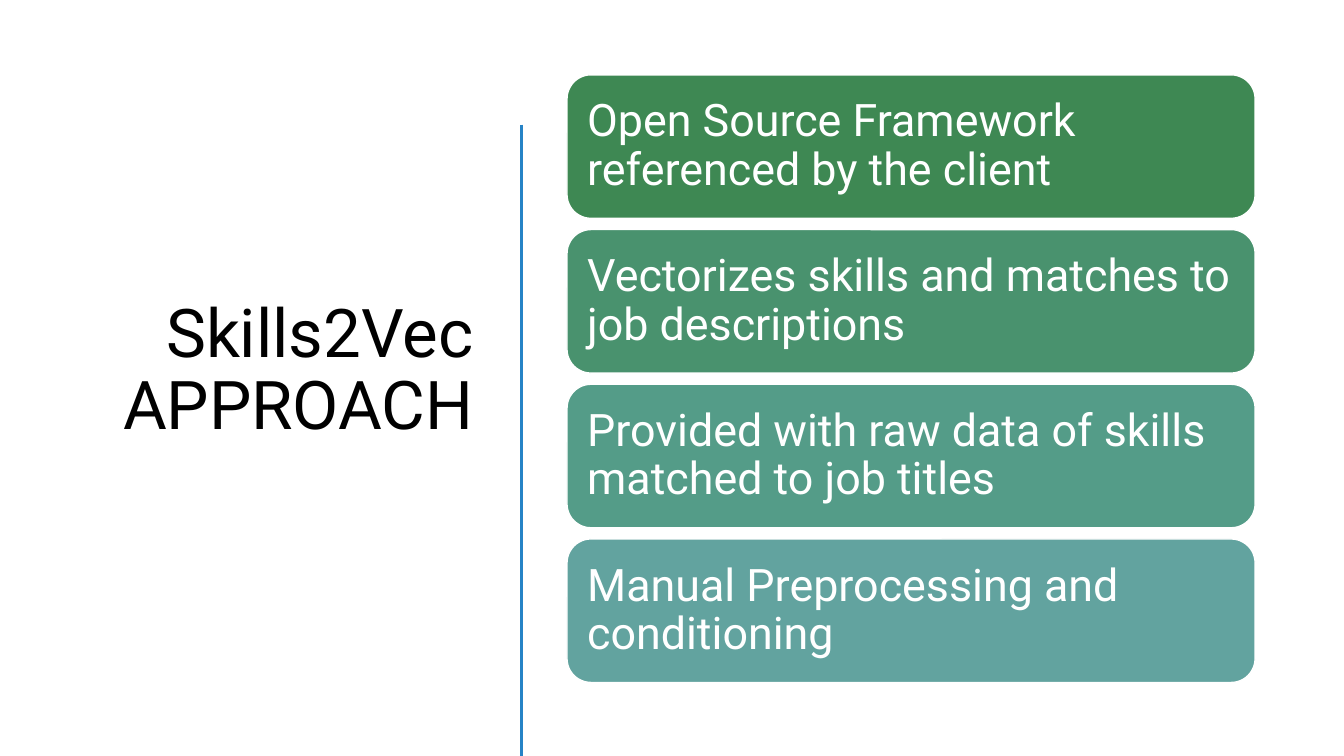
from pptx import Presentation
from pptx import util as u
from pptx.dml.color import RGBColor
from pptx.enum import shapes, text
from pptx.oxml.ns import qn
from lxml import etree

Pt = u.Pt
FONT = "Roboto"
BLACK = RGBColor(0x00, 0x00, 0x00)
WHITE = RGBColor(0xFF, 0xFF, 0xFF)
BLUE = RGBColor(0x26, 0x83, 0xC6)
POINTS = [
    ("Open Source Framework referenced by the client", RGBColor(0x3E, 0x88, 0x53)),
    ("Vectorizes skills and matches to job descriptions", RGBColor(0x49, 0x92, 0x6E)),
    ("Provided with raw data of skills matched to job titles", RGBColor(0x54, 0x9C, 0x88)),
    ("Manual Preprocessing and conditioning", RGBColor(0x62, 0xA3, 0x9F)),
]


def format_text(tf, size, color, align):
    tf.word_wrap = True
    tf.auto_size = text.MSO_AUTO_SIZE.NONE
    tf.vertical_anchor = text.MSO_ANCHOR.MIDDLE
    for p in tf.paragraphs:
        p.alignment = align
        p.line_spacing = 0.9
        for r in p.runs:
            r.font.name = FONT
            r.font.size = Pt(size)
            r.font.color.rgb = color


prs = Presentation()
prs.slide_width, prs.slide_height = Pt(960), Pt(540)
s = prs.slides.add_slide(prs.slide_layouts[5])

# Title
title = s.shapes.title
title.left, title.top, title.width, title.height = Pt(35.3), Pt(45.4), Pt(310.3), Pt(440)
title.text_frame.text = "Skills2Vec\vAPPROACH"
format_text(title.text_frame, 48, BLACK, text.PP_ALIGN.RIGHT)

# Divider
divider = s.shapes.add_connector(
    shapes.MSO_CONNECTOR.STRAIGHT, Pt(372.3), Pt(89), Pt(372.3), Pt(540))
divider.line.color.rgb = BLUE
divider.line.width = Pt(2)
etree.SubElement(divider._element.spPr, qn("a:effectLst"))

# Key points
left, top, width, height, gap = 405, 53.5, 491.5, 102.5, 8
for i, (point, color) in enumerate(POINTS):
    sp = s.shapes.add_shape(
        shapes.MSO_SHAPE.ROUNDED_RECTANGLE,
        Pt(left), Pt(top + i * (height + gap)), Pt(width), Pt(height))
    sp.shadow.inherit = False
    sp.fill.solid()
    sp.fill.fore_color.rgb = color
    sp.line.color.rgb = WHITE
    sp.line.width = Pt(1)
    tf = sp.text_frame
    tf.text = point
    # The rounded corners already inset the text by about 5 pt
    tf.margin_left = tf.margin_right = tf.margin_top = tf.margin_bottom = Pt(9.4)
    format_text(tf, 32, WHITE, text.PP_ALIGN.LEFT)

prs.save("out.pptx")
